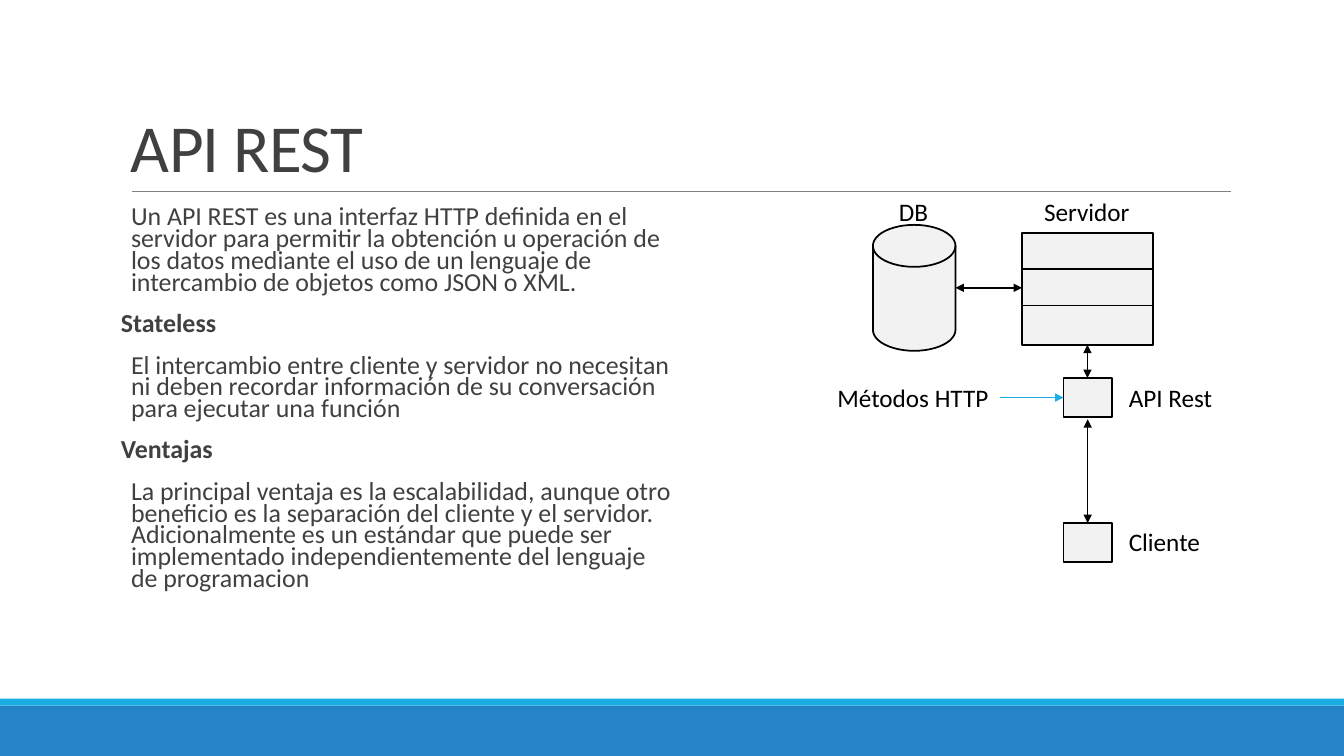
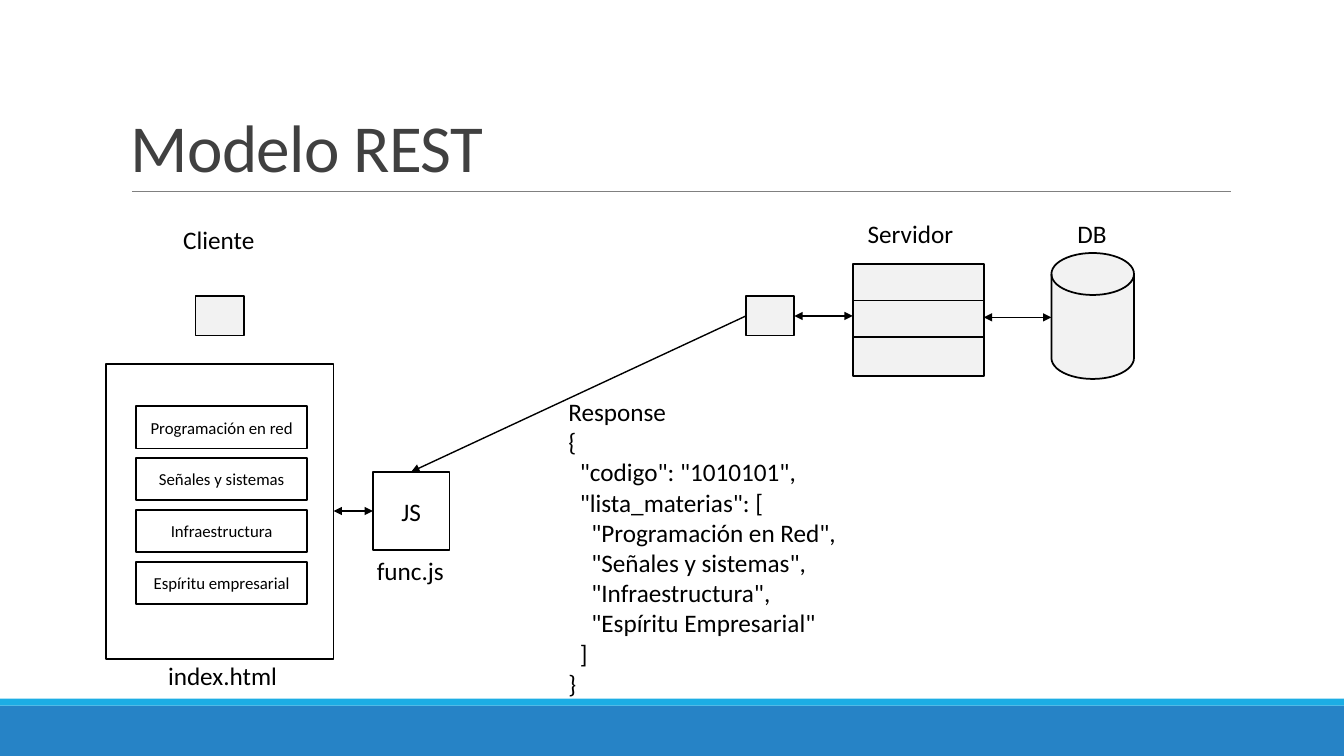
"""Two slides about REST: the API concept and the request model."""
from dataclasses import dataclass
from typing import NamedTuple

from lxml import etree
from pptx import Presentation
from pptx.dml.color import RGBColor
from pptx.enum.shapes import MSO_CONNECTOR, MSO_SHAPE
from pptx.enum.text import MSO_ANCHOR, PP_ALIGN
from pptx.oxml.ns import qn
from pptx.util import Pt

RECTANGLE = MSO_SHAPE.RECTANGLE
DISK = MSO_SHAPE.FLOWCHART_MAGNETIC_DISK
STRAIGHT = MSO_CONNECTOR.STRAIGHT
TOP, MIDDLE, BOTTOM = MSO_ANCHOR.TOP, MSO_ANCHOR.MIDDLE, MSO_ANCHOR.BOTTOM
LEFT, CENTER = PP_ALIGN.LEFT, PP_ALIGN.CENTER


@dataclass(frozen=True)
class Theme:
    """Colours, font and type sizes of the deck."""
    band: str = "2683C6"
    accent: str = "1CADE4"
    rule: str = "808080"
    heading: str = "404040"
    ink: str = "000000"
    paper: str = "FFFFFF"
    node: str = "F2F2F2"
    font: str = "Calibri"
    title_size: float = 48
    body_size: float = 18.5
    label_size: float = 18
    small_size: float = 12
    outline: float = 1.25
    arrow: float = 1


THEME = Theme()


class Box(NamedTuple):
    """A rectangle in points."""
    left: float
    top: float
    width: float
    height: float

    @property
    def right(self):
        """Right edge."""
        return self.left + self.width

    @property
    def bottom(self):
        """Bottom edge."""
        return self.top + self.height

    @property
    def center(self):
        """Horizontal centre."""
        return self.left + self.width / 2

    @property
    def middle(self):
        """Vertical centre."""
        return self.top + self.height / 2

    def inside(self, left, top, width, height):
        """Return a box placed relative to this one."""
        return Box(self.left + left, self.top + top, width, height)

    def in_points(self):
        """Return the four lengths for a shape call."""
        return [Pt(length) for length in self]


PAGE = Box(0, 0, 960, 540)
TITLE = Box(86.4, 22.3, 792, 114.5)
BODY = Box(86.4, 145.4, 395.3, 316.8)
API_AREA = Box(591, 137, 285, 265)
MODEL_AREA = Box(75.6, 152.6, 735, 374)

DISK_SIZE = (59, 90)
NODE_SIZE = (34.6, 28)
RACK_WIDTH, UNIT_HEIGHT, UNIT_STEP, UNIT_COUNT = 93.6, 28, 26, 3
LABEL_HEIGHT = 29
JSON_INDENT = 8.2

API_TEXT = [
    ("Un API REST es una interfaz HTTP definida en el servidor para permitir la obtención u operación "
     "de los datos mediante el uso de un lenguaje de intercambio de objetos como JSON o XML.", False),
    ("Stateless", True),
    ("El intercambio entre cliente y servidor no necesitan ni deben recordar información de su "
     "conversación para ejecutar una función", False),
    ("Ventajas", True),
    ("La principal ventaja es la escalabilidad, aunque otro beneficio es la separación del cliente y el "
     "servidor. Adicionalmente es un estándar que puede ser implementado independientemente del "
     "lenguaje de programacion", False),
]
SUBJECTS = ["Programación en red", "Señales y sistemas", "Infraestructura", "Espíritu empresarial"]
RESPONSE = [
    (0, "Response"),
    (0, "{"),
    (1, '"codigo": "1010101",'),
    (1, '"lista_materias": ['),
    (2, '"Programación en Red",'),
    (2, '"Señales y sistemas",'),
    (2, '"Infraestructura",'),
    (2, '"Espíritu Empresarial"'),
    (1, "]"),
    (0, "}"),
]


def add_para(frame, text, *, size=THEME.label_size, color=THEME.ink, bold=False, align=LEFT,
             indent=0, line=1.0, before=0, after=0, tracking=0):
    """Write one formatted paragraph into a text frame."""
    para = frame.paragraphs[0] if not frame.text else frame.add_paragraph()
    para.alignment = align
    para.line_spacing = line
    para.space_before, para.space_after = Pt(before), Pt(after)
    if indent:
        para._p.get_or_add_pPr().set("marL", str(Pt(indent)))
    span = para.add_run()
    span.text = text
    span.font.name, span.font.size, span.font.bold = THEME.font, Pt(size), bold
    span.font.color.rgb = RGBColor.from_string(color)
    if tracking:
        span._r.get_or_add_rPr().set("spc", str(int(tracking * 100)))


def add_frame(page, box, *, wrap=True, anchor=TOP, side=7.2):
    """Add an empty text box and return its frame."""
    frame = page.shapes.add_textbox(*box.in_points()).text_frame
    frame.word_wrap = wrap
    frame.vertical_anchor = anchor
    frame.margin_left = frame.margin_right = Pt(side)
    return frame


def add_label(page, area, left, top, width, text):
    """Add a one-line label inside an area."""
    box = area.inside(left, top, width, LABEL_HEIGHT)
    add_para(add_frame(page, box, wrap=False), text)


def add_box(page, box, *, kind=RECTANGLE, fill=THEME.node, outlined=True, text="",
            size=THEME.label_size):
    """Add a preset shape with optional centred text and return its box."""
    shape = page.shapes.add_shape(kind, *box.in_points())
    shape.shadow.inherit = False
    shape.fill.solid()
    shape.fill.fore_color.rgb = RGBColor.from_string(fill)
    if outlined:
        shape.line.color.rgb = RGBColor.from_string(THEME.ink)
        shape.line.width = Pt(THEME.outline)
    else:
        shape.line.fill.background()
    if text:
        shape.text_frame.word_wrap = True
        shape.text_frame.vertical_anchor = MIDDLE
        add_para(shape.text_frame, text, size=size, align=CENTER)
    return box


def add_line(page, start, end, *, color=THEME.ink, width=THEME.arrow, heads=("headEnd", "tailEnd")):
    """Add a straight connector with triangles at the named ends."""
    connector = page.shapes.add_connector(STRAIGHT, *(Pt(length) for length in (*start, *end)))
    connector.line.color.rgb = RGBColor.from_string(color)
    connector.line.width = Pt(width)
    properties = connector._element.spPr
    outline = properties.find(qn("a:ln"))
    for head in heads:
        etree.SubElement(outline, qn(f"a:{head}"), type="triangle")
    etree.SubElement(properties, qn("a:effectLst"))


def add_rack(page, area, left, top):
    """Stack the server units and return the box around them."""
    for unit in range(UNIT_COUNT):
        add_box(page, area.inside(left, top + unit * UNIT_STEP, RACK_WIDTH, UNIT_HEIGHT))
    return area.inside(left, top, RACK_WIDTH, (UNIT_COUNT - 1) * UNIT_STEP + UNIT_HEIGHT)


def add_page(deck, title):
    """Add a slide with the shared bands, rule and title."""
    page = deck.slides.add_slide(deck.slide_layouts[6])
    add_box(page, PAGE.inside(0, 504, PAGE.width, 36), fill=THEME.band, outlined=False)
    add_box(page, PAGE.inside(0, 499, PAGE.width, 5), fill=THEME.accent, outlined=False)
    add_line(page, (94.3, TITLE.bottom), (879, TITLE.bottom), color=THEME.rule, width=0.5, heads=())
    frame = add_frame(page, TITLE, anchor=BOTTOM)
    add_para(frame, title, size=THEME.title_size, color=THEME.heading, line=0.85, tracking=-0.5)
    return page


def add_body(page, box, paragraphs):
    """Write the body text, with bold headings hung to the left."""
    frame = add_frame(page, box, side=0)
    for text, is_heading in paragraphs:
        add_para(frame, text, size=THEME.body_size, color=THEME.heading, bold=is_heading,
                 indent=0 if is_heading else 7.2, line=0.7, before=12, after=2)


def add_api_diagram(page, area):
    """Draw database, server, API and client with their links."""
    disk = add_box(page, area.inside(32.5, 23.6, *DISK_SIZE), kind=DISK)
    rack = add_rack(page, area, 139, 29.3)
    api = add_box(page, area.inside(168.6, 133, *NODE_SIZE))
    client = add_box(page, area.inside(168.6, 236.6, *NODE_SIZE))
    for left, top, width, text in [
        (44, 0, 35.3, "DB"),
        (147.7, 0, 76.3, "Servidor"),
        (208.2, 132.3, 74.9, "API Rest"),
        (208.2, 235.2, 66.2, "Cliente"),
        (0, 132.3, 123.8, "Métodos HTTP"),
    ]:
        add_label(page, area, left, top, width, text)
    add_line(page, (disk.right, disk.middle), (rack.left, disk.middle))
    add_line(page, (rack.center, rack.bottom), (rack.center, api.top))
    add_line(page, (api.center, api.bottom + 1.5), (api.center, client.top))
    add_line(page, (area.left + 123.2, api.middle), (api.left, api.middle),
             color=THEME.accent, heads=("tailEnd",))


def add_window(page, box):
    """Draw the client page with its list of subjects."""
    add_box(page, box, fill=THEME.paper)
    for row, subject in enumerate(SUBJECTS):
        add_box(page, box.inside(21.6, 30.2 + row * 37, 122.4, 30.2), fill=THEME.paper,
                text=subject, size=THEME.small_size)


def add_response(page, box):
    """Write the JSON response with its nesting."""
    frame = add_frame(page, box, wrap=False)
    for level, text in RESPONSE:
        add_para(frame, text, indent=level * JSON_INDENT)


def add_model_diagram(page, area):
    """Draw the path from the database to the client page."""
    add_box(page, area.inside(64.1, 59.1, *NODE_SIZE))
    disk = add_box(page, area.inside(675.4, 28.1, *DISK_SIZE), kind=DISK)
    rack = add_rack(page, area, 533.5, 36)
    api = add_box(page, area.inside(457.2, 59.1, *NODE_SIZE))
    window = area.inside(0, 107.4, 162.7, 211)
    add_window(page, window)
    script = add_box(page, area.inside(190.8, 184.4, 54.7, 56), fill=THEME.paper, text="JS")
    for left, top, width, text in [
        (48.2, 4.4, 66.2, "Cliente"),
        (686.9, 0, 35.3, "DB"),
        (537.1, 0, 76.3, "Servidor"),
        (37.4, 315.4, 93.6, "index.html"),
        (186.5, 240.5, 62.6, "func.js"),
    ]:
        add_label(page, area, left, top, width, text)
    add_line(page, (rack.right, disk.middle + 1), (disk.left, disk.middle + 1))
    add_line(page, (api.right, api.middle), (rack.left, api.middle))
    add_line(page, (window.right, script.middle), (script.left, script.middle))
    add_line(page, (api.left, api.middle), (script.center, script.top), heads=("tailEnd",))
    add_response(page, area.inside(323.3, 126.8, 208, 247))


def main():
    """Build and save the deck."""
    deck = Presentation()
    deck.slide_width, deck.slide_height = Pt(PAGE.width), Pt(PAGE.height)
    page = add_page(deck, "API REST")
    add_body(page, BODY, API_TEXT)
    add_api_diagram(page, API_AREA)
    add_model_diagram(add_page(deck, "Modelo REST"), MODEL_AREA)
    deck.save("out.pptx")


if __name__ == "__main__":
    main()
